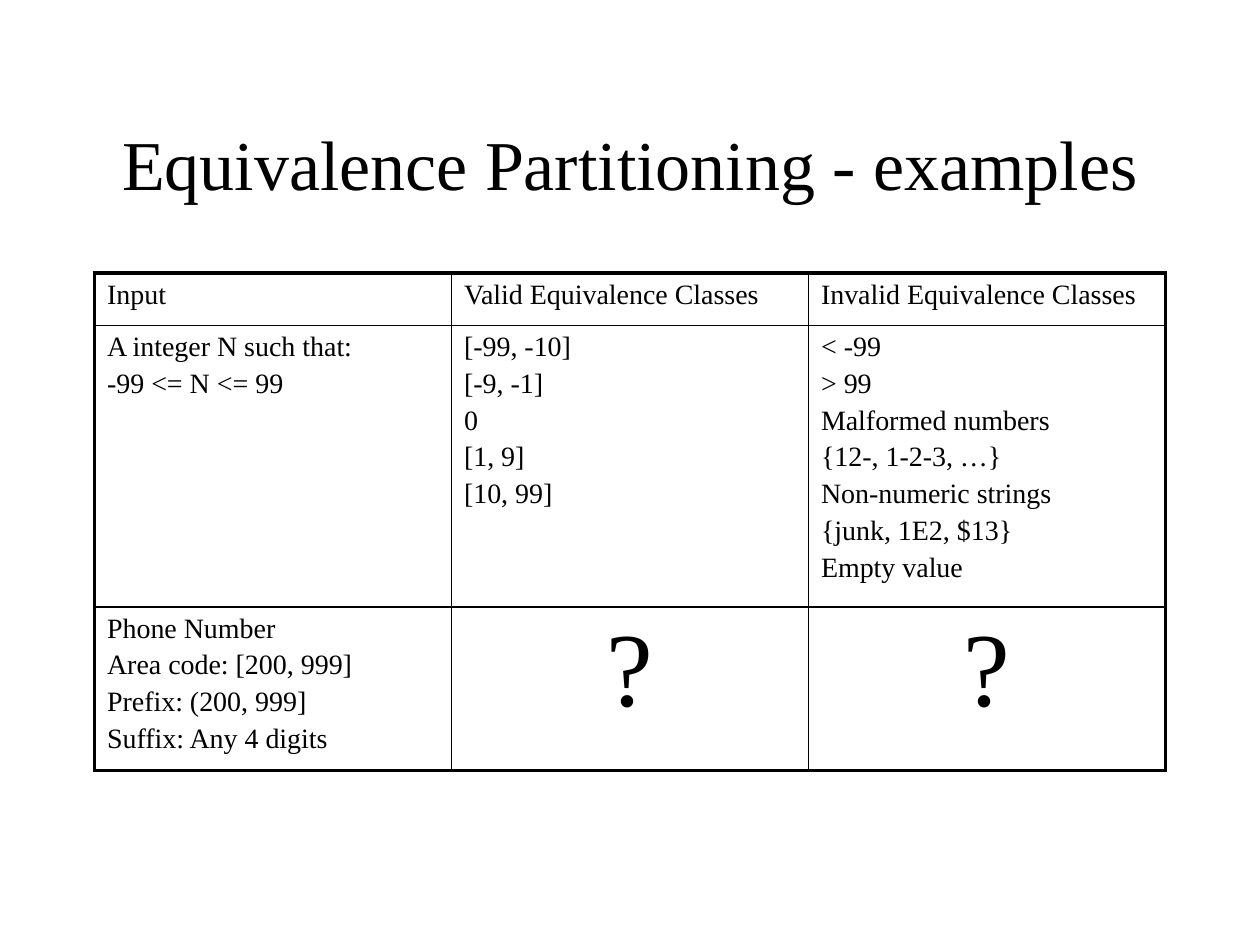
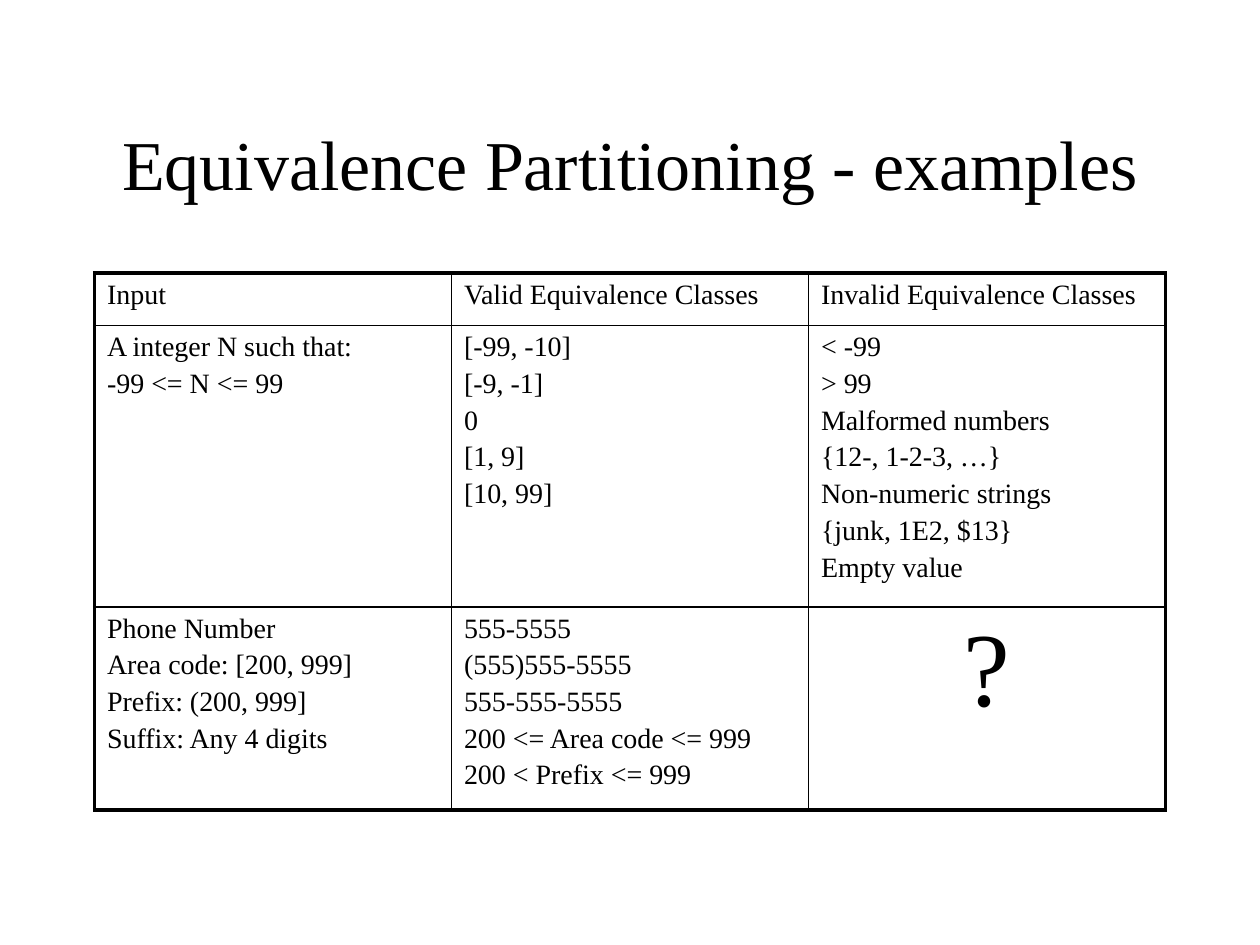
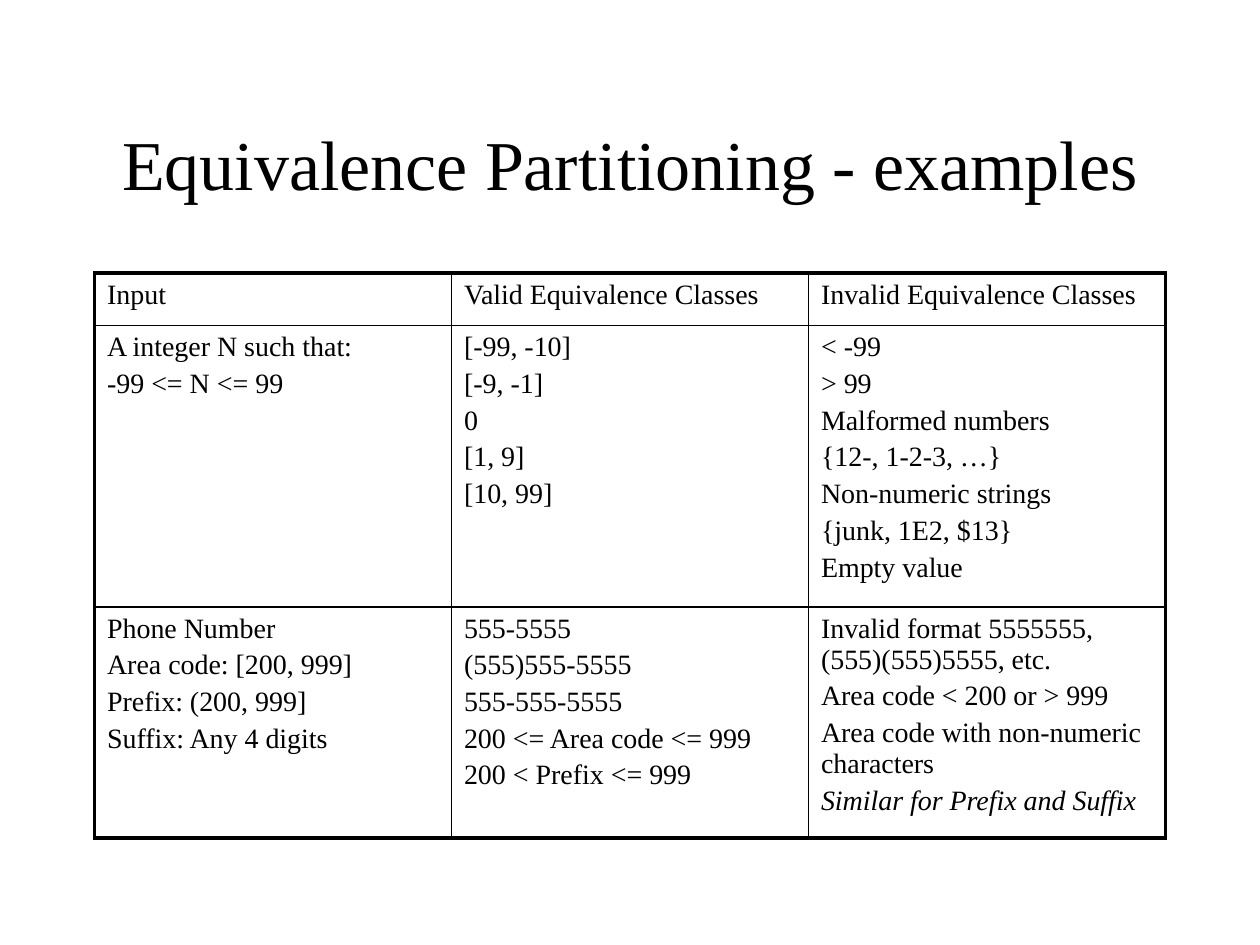
import pptx
import pptx.util
import pptx.dml.color
import pptx.enum.text
import pptx.oxml
import pptx.oxml.ns
from lxml import etree

Pt = pptx.util.Pt
align = pptx.enum.text.PP_ALIGN
hues = {"ink": "000000"}
ink = pptx.dml.color.RGBColor.from_string(hues["ink"])
face = "Times New Roman"
title = "Equivalence Partitioning - examples"
left, wide = 54, 612
thin, thick = 1, 2.25

# Rows shared by all slides: each cell is a list of lines
head = [["Input"], ["Valid Equivalence Classes"], ["Invalid Equivalence Classes"]]
whole = [
    ["A integer N such that:", "-99 <= N <= 99"],
    ["[-99, -10]", "[-9, -1]", "0", "[1, 9]", "[10, 99]"],
    ["< -99", "> 99", "Malformed numbers", "{12-, 1-2-3, …}",
     "Non-numeric strings", "{junk, 1E2, $13}", "Empty value"],
]

# Phone row, filled in step by step
phone = ["Phone Number", "Area code: [200, 999]", "Prefix: (200, 999]",
         "Suffix: Any 4 digits"]
valid = ["555-5555", "(555)555-5555", "555-555-5555",
         "200 <= Area code <= 999", "200 < Prefix <= 999"]
remark = "Similar for Prefix and Suffix"
wrong = ["Invalid format 5555555, (555)(555)5555, etc.",
         "Area code < 200 or > 999",
         "Area code with non-numeric characters", remark]
steps = [
    (88, [phone, ["?"], ["?"]]),
    (109, [phone, valid, ["?"]]),
    (123, [phone, valid, wrong]),
]


def style(para, size):
    para.font.name = face
    para.font.size = Pt(size)
    para.font.color.rgb = ink


def border(cell, sides):
    props = cell._tc.get_or_add_tcPr()
    for tag, width in sides.items():
        line = etree.SubElement(props, pptx.oxml.ns.qn("a:" + tag), w=str(Pt(width)))
        fill = etree.SubElement(line, pptx.oxml.ns.qn("a:solidFill"))
        etree.SubElement(fill, pptx.oxml.ns.qn("a:srgbClr"), val=hues["ink"])


deck = pptx.Presentation()
deck.slide_width, deck.slide_height = Pt(720), Pt(540)

for last, row in steps:
    slide = deck.slides.add_slide(deck.slide_layouts[6])

    # Title
    frame = slide.shapes.add_textbox(Pt(left), Pt(48), Pt(wide), Pt(90)).text_frame
    frame.word_wrap = True
    frame.vertical_anchor = pptx.enum.text.MSO_ANCHOR.MIDDLE
    para = frame.paragraphs[0]
    para.text = title
    para.alignment = align.CENTER
    style(para, 40)

    # Table
    rows = [head, whole, row]
    highs = [30, 151, last]
    table = slide.shapes.add_table(
        3, 3, Pt(left), Pt(156), Pt(wide), Pt(sum(highs))).table
    table.first_row = table.horz_banding = False
    for r, cells in enumerate(rows):
        table.rows[r].height = Pt(highs[r])
        for c, lines in enumerate(cells):
            cell = table.cell(r, c)
            # Thick outer frame, thin inner rules
            border(cell, {
                "lnL": thick if c == 0 else thin,
                "lnR": thick if c == 2 else thin,
                "lnT": thick if r == 0 else thin,
                "lnB": thick if r == 2 else thin,
            })
            cell.fill.background()
            cell.text = "\n".join(lines)
            for n, para in enumerate(cell.text_frame.paragraphs):
                style(para, 16)
                if n:
                    para.space_before = Pt(3.2)
                if para.text == "?":
                    para.alignment = align.CENTER
                    para.font.size = Pt(60)
                if para.text == remark:
                    para.font.italic = True

deck.save("out.pptx")
